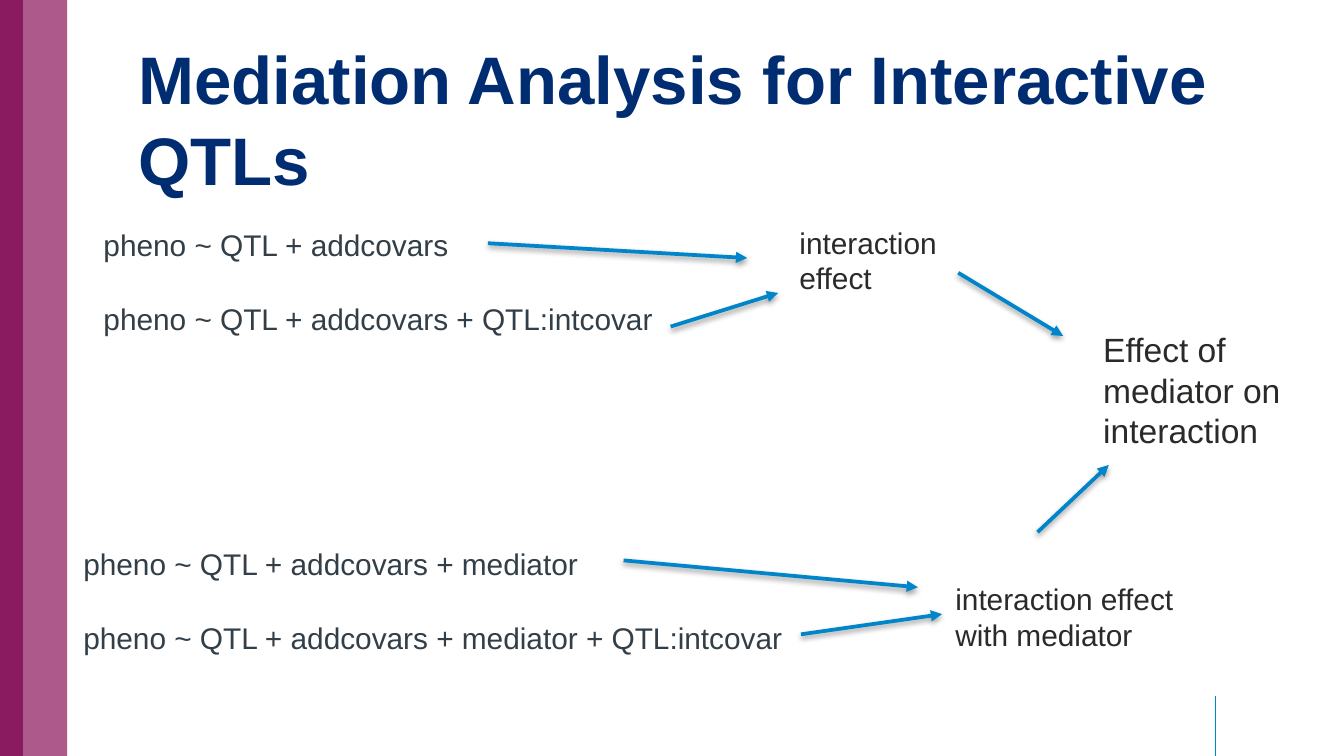
from dataclasses import dataclass
from typing import Any

from lxml.etree import SubElement as Sub
from pptx import Presentation
from pptx.dml.color import RGBColor as Rgb
from pptx.enum.shapes import MSO_CONNECTOR as Link, MSO_SHAPE as Shape
from pptx.enum.text import MSO_ANCHOR as Anchor, MSO_AUTO_SIZE as Fit, PP_ALIGN as Align
from pptx.oxml.ns import qn
from pptx.util import Inches, Pt


@dataclass(frozen=True)
class Theme:
    face: str = "Arial"
    navy: str = "002D72"
    slate: str = "333F48"
    ink: str = "2C2A29"
    blue: str = "0085CA"
    plum: str = "8A1B61"
    rose: str = "AE598B"
    head: int = 36
    body: int = 16
    big: int = 18


@dataclass(frozen=True)
class Label:
    box: tuple[float, float, float, float]
    lines: tuple[str, ...]
    size: int
    color: str
    left: float = 0.1
    form: bool = False


@dataclass(frozen=True)
class Arrow:
    start: tuple[float, float]
    end: tuple[float, float]


LOOK = Theme()
WIDE = 10
HIGH = WIDE * 9 / 16
MODEL = {"line_spacing": 1.02, "space_after": Pt(14)}
STRIPES = ((0.5, LOOK.rose), (0.17, LOOK.plum))

# Model formulas on the left, effects on the right
LABELS = (
    Label((0.62, 4.01, 5.5, 1.16),
          ("pheno ~ QTL + addcovars + mediator",
           "pheno ~ QTL + addcovars + mediator + QTL:intcovar"),
          LOOK.body, LOOK.slate, 0, True),
    Label((0.77, 1.63, 4.6, 0.99),
          ("pheno ~ QTL + addcovars",
           "pheno ~ QTL + addcovars + QTL:intcovar"),
          LOOK.body, LOOK.slate, 0, True),
    Label((5.85, 1.62, 1.5, 0.64), ("interaction effect",), LOOK.body, LOOK.ink),
    Label((7.01, 4.27, 2.08, 0.64), ("interaction effect with mediator",),
          LOOK.body, LOOK.ink),
    Label((8.11, 2.4, 2.08, 1.01), ("Effect of mediator on interaction",),
          LOOK.big, LOOK.ink),
)

ARROWS = (
    Arrow((3.63, 1.81), (5.56, 1.92)),
    Arrow((4.99, 2.43), (5.79, 2.18)),
    Arrow((4.64, 4.17), (6.83, 4.37)),
    Arrow((5.96, 4.72), (7.01, 4.57)),
    Arrow((7.72, 3.96), (8.25, 3.46)),
    Arrow((7.13, 2.03), (7.91, 2.5)),
)


def apply(target: Any, values: dict[str, Any]) -> None:
    for name, value in values.items():
        setattr(target, name, value)


def style(para: Any, size: int, color: str, bold: bool = False) -> None:
    apply(para.font, {"name": LOOK.face, "size": Pt(size), "bold": bold})
    para.font.color.rgb = Rgb.from_string(color)


def frame(text: Any, left: float) -> None:
    apply(text, {"word_wrap": True, "auto_size": Fit.NONE,
                 "vertical_anchor": Anchor.TOP,
                 "margin_left": Inches(left), "margin_right": Inches(0.1),
                 "margin_top": Inches(0.05), "margin_bottom": Inches(0.05)})


def stripe(slide: Any, width: float, color: str) -> None:
    bar = slide.shapes.add_shape(Shape.RECTANGLE, 0, 0, Inches(width), Inches(HIGH))
    bar.shadow.inherit = False
    bar.fill.solid()
    bar.fill.fore_color.rgb = Rgb.from_string(color)
    bar.line.fill.background()


def title(slide: Any, words: str) -> None:
    shape = slide.shapes.title
    apply(shape, {"left": Inches(1.03), "top": Inches(0.23),
                  "width": Inches(8.62), "height": Inches(0.94)})
    frame(shape.text_frame, 0)
    shape.text_frame.text = words
    para = shape.text_frame.paragraphs[0]
    apply(para, {"alignment": Align.LEFT, "line_spacing": 1.0})
    style(para, LOOK.head, LOOK.navy, True)


def label(slide: Any, item: Label) -> None:
    text = slide.shapes.add_textbox(*map(Inches, item.box)).text_frame
    frame(text, item.left)
    text.text = "\n".join(item.lines)
    for spot, para in enumerate(text.paragraphs):
        if item.form:
            apply(para, MODEL)
            para.space_before = Pt(6 if spot else 0)
        style(para, item.size, item.color)


def line(slide: Any, item: Arrow, width: float) -> Any:
    rule = slide.shapes.add_connector(
        Link.STRAIGHT, *map(Inches, item.start + item.end))
    rule.line.width = Pt(width)
    rule.line.color.rgb = Rgb.from_string(LOOK.blue)
    return Sub(rule._element.spPr, qn("a:effectLst"))


def arrow(slide: Any, item: Arrow) -> None:
    effect = line(slide, item, 2)
    Sub(effect.getparent().find(qn("a:ln")), qn("a:tailEnd"), type="triangle")
    # Soft shadow straight below
    shade = Sub(effect, qn("a:outerShdw"), blurRad=str(Pt(3.1)),
                dist=str(Pt(1.6)), dir="5400000", rotWithShape="0")
    tint = Sub(shade, qn("a:srgbClr"), val="000000")
    Sub(tint, qn("a:alpha"), val="38000")


def main() -> None:
    deck = Presentation()
    apply(deck, {"slide_width": Inches(WIDE), "slide_height": Inches(HIGH)})
    slide = deck.slides.add_slide(deck.slide_layouts[5])

    # Side stripes and footer rule
    line(slide, Arrow((9.04, 5.18), (9.04, HIGH)), 0.25)
    for width, color in STRIPES:
        stripe(slide, width, color)

    # Title, labels and flow
    title(slide, "Mediation Analysis for Interactive QTLs")
    for item in LABELS:
        label(slide, item)
    for item in ARROWS:
        arrow(slide, item)
    deck.save("out.pptx")


if __name__ == "__main__":
    main()
